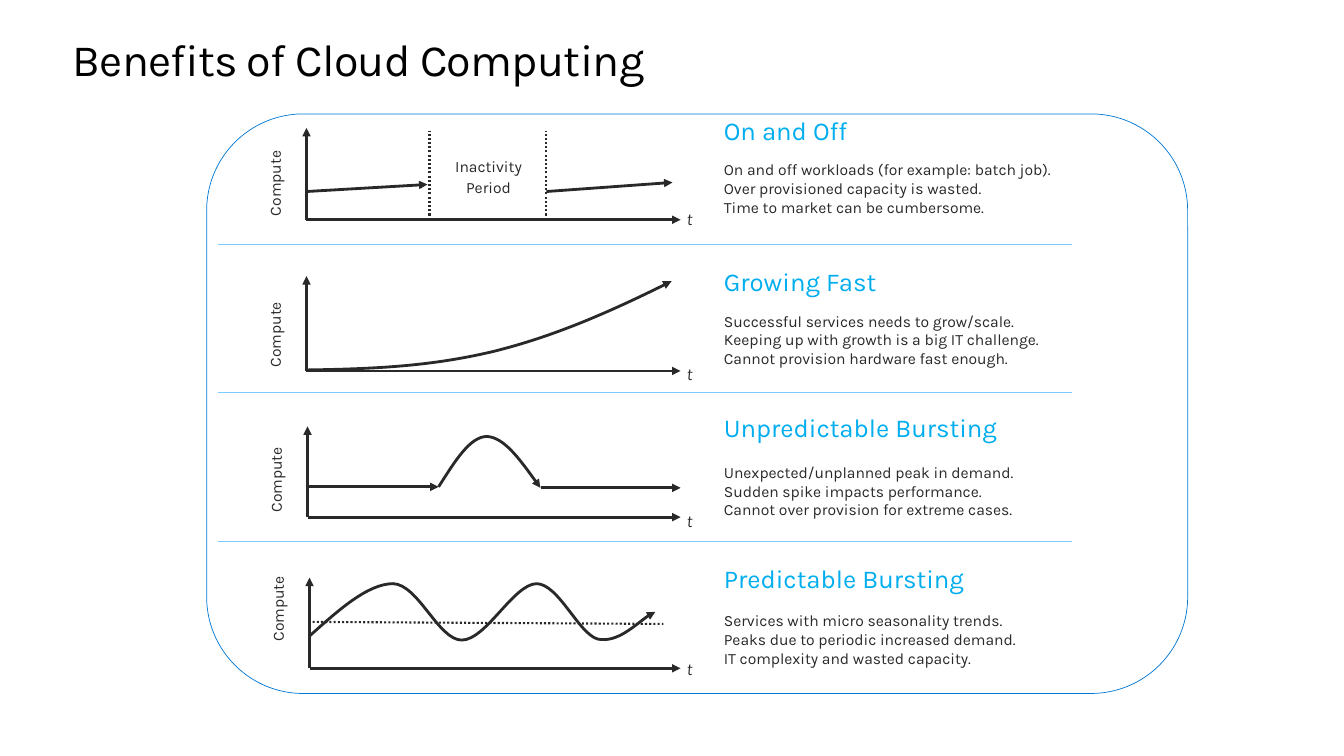
from dataclasses import dataclass

from lxml import etree
from pptx import Presentation
from pptx.dml.color import RGBColor
from pptx.enum.dml import MSO_LINE
from pptx.enum.shapes import MSO_CONNECTOR, MSO_SHAPE
from pptx.enum.text import MSO_ANCHOR, PP_ALIGN
from pptx.oxml.ns import qn
from pptx.util import Inches, Pt

STRAIGHT = MSO_CONNECTOR.STRAIGHT
ROUNDED = MSO_SHAPE.ROUNDED_RECTANGLE
DOTS = MSO_LINE.ROUND_DOT
TOP = MSO_ANCHOR.TOP
LEFT, CENTER = PP_ALIGN.LEFT, PP_ALIGN.CENTER

WHITE = RGBColor(0xFF, 0xFF, 0xFF)
BLACK = RGBColor(0, 0, 0)
INK = RGBColor(0x29, 0x29, 0x29)
CYAN = RGBColor(0x00, 0xAE, 0xEF)
BLUE = RGBColor(0x00, 0x78, 0xD4)
SKY = RGBColor(0x7E, 0xCC, 0xFF)
FONT = "Karla"
GRID = 100  # curve units to the inch

Point = tuple[float, float]
Span = tuple[Point, Point]


@dataclass(frozen=True)
class Style:
    size: float
    color: RGBColor = INK
    italic: bool = False
    align: PP_ALIGN = LEFT
    pitch: float | Pt | None = None
    after: float = 0
    inset: Point = (0, 0)
    track: int = 0


TITLE = Style(32, BLACK, pitch=Pt(36.2), track=-50)
HEAD = Style(18.4, CYAN, pitch=0.9, inset=(0, 0.05))
BODY = Style(11.2)
TIME = Style(12.2, italic=True)
LABEL = Style(11.2, align=CENTER, pitch=Pt(8.8), inset=(0.08, 0.04))
PAUSE = Style(11.2, align=CENTER, pitch=Pt(8.8), after=6.6, inset=(0.08, 0.04))


@dataclass(frozen=True)
class Panel:
    """One row: a small chart and its text; heights run from the slide top."""
    head: str
    notes: tuple[str, ...]
    left: float
    peak: float
    base: float
    mid: float
    time_y: float
    note_y: float
    trends: tuple[Span, ...] = ()
    dots: tuple[Span, ...] = ()
    curve: tuple[Point, ...] = ()


PANELS = (
    Panel("On and Off",
          ("On and off workloads (for example: batch job).",
           "Over provisioned capacity is wasted.",
           "Time to market can be cumbersome."),
          3.04, 1.27, 2.18, 1.82, 2.07, 1.59,
          trends=(((3.04, 1.9), (4.24, 1.83)), ((5.42, 1.9), (6.67, 1.81))),
          dots=(((5.42, 2.18), (5.42, 1.3)), ((4.26, 2.18), (4.26, 1.3)))),
    Panel("Growing Fast",
          ("Successful services needs to grow/scale.",
           "Keeping up with growth is a big IT challenge.",
           "Cannot provision hardware fast enough."),
          3.04, 2.74, 3.68, 3.32, 3.61, 3.09,
          curve=((3.04, 3.67), (3.75, 3.66), (4.28, 3.63), (4.88, 3.49),
                 (5.49, 3.34), (6.08, 3.08), (6.66, 2.79))),
    Panel("Unpredictable Bursting",
          ("Unexpected/unplanned peak in demand.",
           "Sudden spike impacts performance.",
           "Cannot over provision for extreme cases."),
          3.05, 4.23, 5.13, 4.76, 5.06, 4.59,
          trends=(((5.37, 4.84), (6.75, 4.84)), ((3.05, 4.83), (4.35, 4.83))),
          curve=((4.35, 4.83), (4.51, 4.58), (4.66, 4.33), (4.83, 4.33),
                 (5, 4.34), (5.18, 4.59), (5.36, 4.84))),
    Panel("Predictable Bursting",
          ("Services with micro seasonality trends.",
           "Peaks due to periodic increased demand.",
           "IT complexity and wasted capacity."),
          3.07, 5.73, 6.63, 6.04, 6.53, 6.06,
          dots=(((3.1, 6.17), (6.58, 6.19)),),
          curve=((3.07, 6.31), (3.36, 6.05), (3.65, 5.79), (3.9, 5.79),
                 (4.15, 5.8), (4.35, 6.35), (4.58, 6.35),
                 (4.82, 6.35), (5.09, 5.8), (5.32, 5.79),
                 (5.54, 5.79), (5.74, 6.29), (5.93, 6.34),
                 (6.13, 6.38), (6.39, 6.11), (6.5, 6.07))),
)
RULES = (2.43, 3.89, 5.37)


def add_text(shapes, x: float, y: float, w: float, h: float,
             lines: tuple[str, ...], style: Style, turn: float = 0) -> None:
    box = shapes.add_textbox(Inches(x), Inches(y), Inches(w), Inches(h))
    box.rotation = turn
    frame = box.text_frame
    frame.word_wrap = True
    frame.vertical_anchor = TOP
    side, edge = style.inset
    frame.margin_left = frame.margin_right = Inches(side)
    frame.margin_top = frame.margin_bottom = Inches(edge)
    for i, line in enumerate(lines):
        para = frame.add_paragraph() if i else frame.paragraphs[0]
        para.alignment = style.align
        para.line_spacing = style.pitch
        para.space_after = Pt(style.after)
        run = para.add_run()
        run.text = line
        font = run.font
        font.name, font.size, font.italic = FONT, Pt(style.size), style.italic
        font.color.rgb = style.color
        if style.track:
            run._r.get_or_add_rPr().set("spc", str(style.track))


def add_head(line) -> None:
    """Put an arrowhead at the end of a line."""
    etree.SubElement(line._get_or_add_ln(), qn("a:tailEnd"), type="triangle")


def add_line(shapes, start: Point, end: Point, color: RGBColor = INK,
             width: float = 2, arrow: bool = False, dotted: bool = False) -> None:
    link = shapes.add_connector(STRAIGHT, *map(Inches, start + end))
    link.line.color.rgb = color
    link.line.width = Pt(width)
    if dotted:
        link.line.dash_style = DOTS
    if arrow:
        add_head(link.line)
    etree.SubElement(link._element.spPr, qn("a:effectLst"))


def add_curve(shapes, points: tuple[Point, ...]) -> None:
    """Draw a chain of cubic curves: a start, then three points for each."""
    start, *rest = [(round(x * GRID), round(y * GRID)) for x, y in points]
    pen = shapes.build_freeform(*start, scale=Inches(1 / GRID))
    pen.add_line_segments(rest, close=False)
    shape = pen.convert_to_shape()
    trail = shape._element.spPr.find(".//" + qn("a:path"))
    steps = trail.findall(qn("a:lnTo"))
    for i in range(0, len(steps), 3):
        cubic = etree.SubElement(trail, qn("a:cubicBezTo"))
        for step in steps[i:i + 3]:
            cubic.append(step[0])
            trail.remove(step)
    shape.shadow.inherit = False
    shape.fill.background()
    shape.line.color.rgb = INK
    shape.line.width = Pt(2)
    add_head(shape.line)


def add_panel(shapes, panel: Panel) -> None:
    foot = (panel.left, panel.base)
    add_line(shapes, foot, (panel.left, panel.peak), arrow=True)
    add_line(shapes, foot, (6.75, panel.base), arrow=True)
    add_text(shapes, 6.81, panel.time_y, 1.34, 0.14, ("t",), TIME)
    add_text(shapes, panel.left - 0.78, panel.mid - 0.13, 1.05, 0.26,
             ("Compute",), LABEL, 270)
    for start, end in panel.trends:
        add_line(shapes, start, end, arrow=True)
    for start, end in panel.dots:
        add_line(shapes, start, end, width=1.5, dotted=True)
    if panel.curve:
        add_curve(shapes, panel.curve)
    add_text(shapes, 7.18, panel.base - 1.06, 4.2, 0.42, (panel.head,), HEAD)
    add_text(shapes, 7.18, panel.note_y, 4.1, 0.63, panel.notes, BODY)


def main() -> None:
    deck = Presentation()
    deck.slide_width, deck.slide_height = Inches(13.33), Inches(7.5)
    shapes = deck.slides.add_slide(deck.slide_layouts[6]).shapes
    add_text(shapes, 0.72, 0.35, 11.9, 0.5, ("Benefits of Cloud Computing",), TITLE)
    card = shapes.add_shape(ROUNDED, *map(Inches, (2.05, 1.13, 9.73, 5.75)))
    card.shadow.inherit = False
    card.fill.solid()
    card.fill.fore_color.rgb = WHITE
    card.line.color.rgb = BLUE
    card.line.width = Pt(0.5)
    for panel in PANELS:
        add_panel(shapes, panel)
    add_text(shapes, 4.19, 1.58, 1.31, 0.5, ("Inactivity", "Period"), PAUSE)
    for y in RULES:
        add_line(shapes, (2.16, y), (10.63, y), SKY, 0.75)
    deck.save("out.pptx")


if __name__ == "__main__":
    main()
